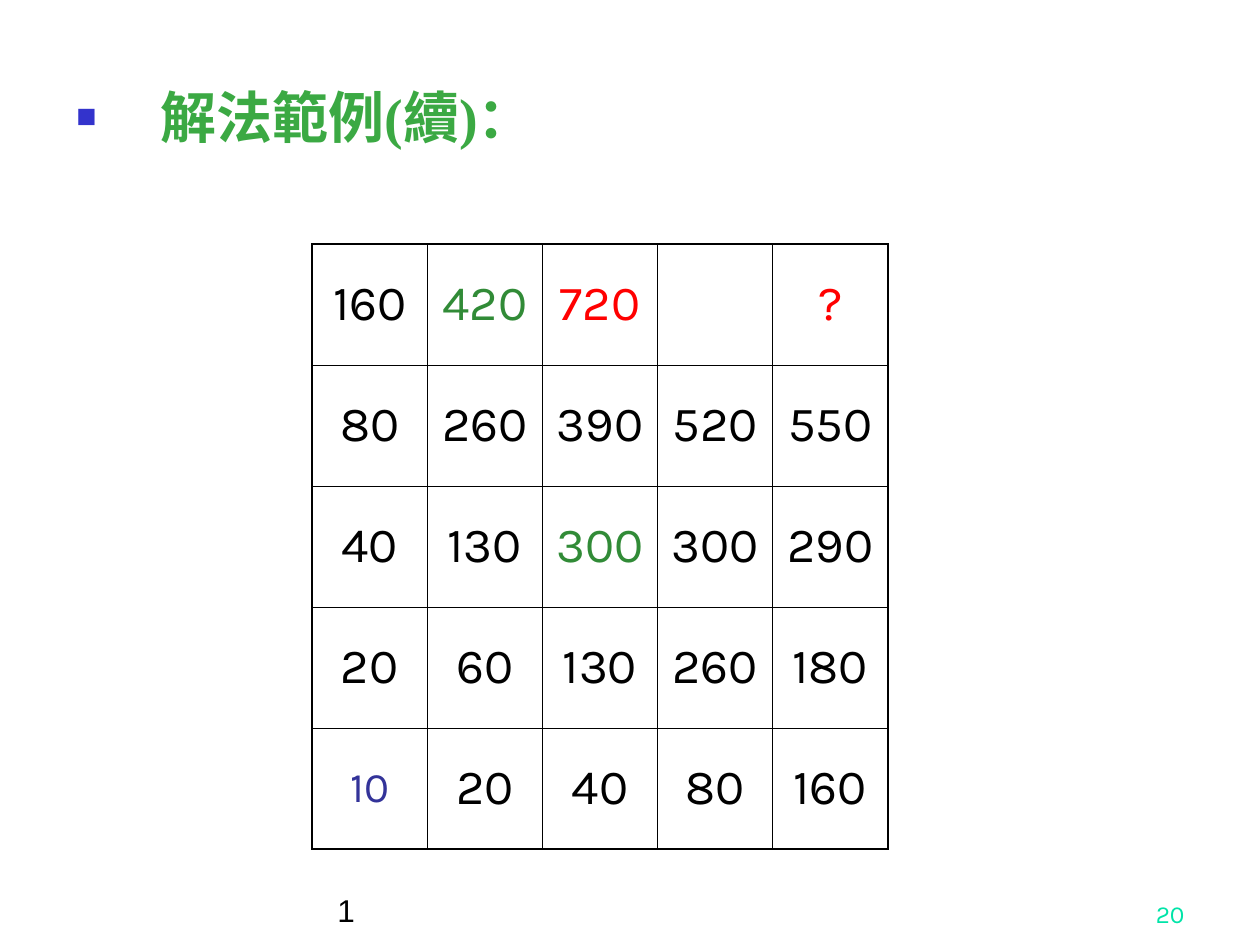
from lxml import etree
from pptx import Presentation
from pptx.dml.color import RGBColor
from pptx.enum.text import MSO_ANCHOR, PP_ALIGN
from pptx.oxml.ns import qn
from pptx.util import Pt

LEFT, CENTER, RIGHT = PP_ALIGN.LEFT, PP_ALIGN.CENTER, PP_ALIGN.RIGHT
TOP, MIDDLE, BOTTOM = MSO_ANCHOR.TOP, MSO_ANCHOR.MIDDLE, MSO_ANCHOR.BOTTOM

BLACK, GREEN, RED, BLUE = "000000", "318B37", "FF0000", "333399"
HEADING = "解法範例(續)："
GRID = [
    ["160", "420", "720", "", "?"],
    ["80", "260", "390", "520", "550"],
    ["40", "130", "300", "300", "290"],
    ["20", "60", "130", "260", "180"],
    ["10", "20", "40", "80", "160"],
]
CELL_COLORS = {(0, 1): GREEN, (0, 2): RED, (0, 4): RED, (2, 2): GREEN, (4, 0): BLUE}
CELL_SIZES = {(4, 0): 24}
TABLE_BOX = (312, 244, 576, 605)
INNER_LINE, OUTER_LINE = 0.45, 1.08


def emu(px):
    return round(px * 914400 / 126)


def color(value):
    return RGBColor.from_string(value)


def add_run(paragraph, text, size, font_name, font_color, bold=False):
    run = paragraph.add_run()
    run.text = text
    run.font.size = Pt(size)
    run.font.name = font_name
    run.font.bold = bold
    run.font.color.rgb = color(font_color)


def add_text(slide, box, text, size, font_name, font_color, anchor, align=LEFT, bold=False):
    shape = slide.shapes.add_textbox(*map(emu, box))
    frame = shape.text_frame
    frame.word_wrap = True
    frame.vertical_anchor = anchor
    paragraph = frame.paragraphs[0]
    paragraph.alignment = align
    add_run(paragraph, text, size, font_name, font_color, bold)
    return paragraph


def add_bullet(paragraph, character, bullet_color, percent, indent):
    properties = paragraph._p.get_or_add_pPr()
    properties.set("marL", str(emu(indent)))
    properties.set("indent", str(-emu(indent)))
    fill = etree.SubElement(properties, qn("a:buClr"))
    etree.SubElement(fill, qn("a:srgbClr"), val=bullet_color)
    etree.SubElement(properties, qn("a:buSzPct"), val=str(percent * 1000))
    etree.SubElement(properties, qn("a:buFont"), typeface="Arial")
    etree.SubElement(properties, qn("a:buChar"), char=character)


def set_borders(cell, outer_sides):
    properties = cell._tc.get_or_add_tcPr()
    for side, is_outer in outer_sides.items():
        width = OUTER_LINE if is_outer else INNER_LINE
        line = etree.SubElement(properties, qn(f"a:ln{side}"), w=str(Pt(width)))
        fill = etree.SubElement(line, qn("a:solidFill"))
        etree.SubElement(fill, qn("a:srgbClr"), val=BLACK)


def add_grid(slide):
    left, top, width, height = map(emu, TABLE_BOX)
    last_row, last_column = len(GRID) - 1, len(GRID[0]) - 1
    table = slide.shapes.add_table(len(GRID), len(GRID[0]), left, top, width, height).table
    table.first_row = False
    table.horz_banding = False
    for row, values in enumerate(GRID):
        for column, value in enumerate(values):
            cell = table.cell(row, column)
            set_borders(cell, {
                "L": column == 0,
                "R": column == last_column,
                "T": row == 0,
                "B": row == last_row,
            })
            cell.fill.background()
            cell.vertical_anchor = MIDDLE
            if value:
                position = (row, column)
                paragraph = cell.text_frame.paragraphs[0]
                paragraph.alignment = CENTER
                add_run(paragraph, value, CELL_SIZES.get(position, 28), "Karla",
                        CELL_COLORS.get(position, BLACK))


def main():
    presentation = Presentation()
    presentation.slide_width, presentation.slide_height = emu(1260), emu(945)
    slide = presentation.slides.add_slide(presentation.slide_layouts[6])
    heading = add_text(slide, (64, 76, 1131, 804), HEADING, 32, "Times New Roman",
                       "3BA943", TOP, bold=True)
    add_bullet(heading, "■", "3333CC", 60, 84)
    add_grid(slide)
    add_text(slide, (325, 872, 683, 63), "1", 18, "Arial", BLACK, BOTTOM)
    add_text(slide, (935, 872, 262, 63), "20", 14, "Karla", "00E4A8", BOTTOM, RIGHT)
    presentation.save("out.pptx")


if __name__ == "__main__":
    main()
